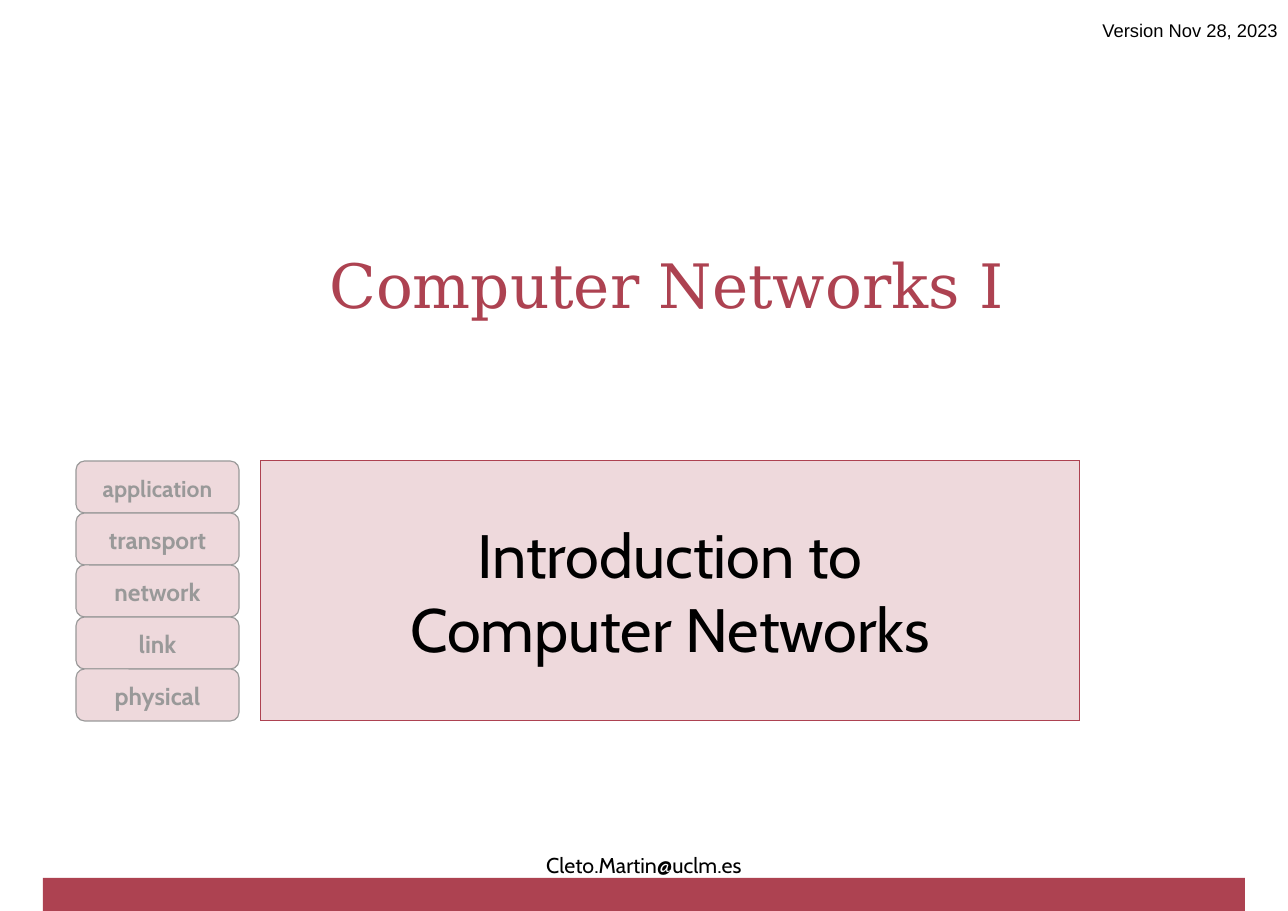
from pptx import Presentation
from pptx.dml.color import RGBColor
from pptx.enum.shapes import MSO_SHAPE
from pptx.enum.text import MSO_ANCHOR, MSO_AUTO_SIZE, PP_ALIGN
from pptx.util import Emu, Pt

PX = 8298
RED, PINK, GREY, BLACK = "AD4251", "EED9DC", "999999", "000000"
RECT, ROUNDED = MSO_SHAPE.RECTANGLE, MSO_SHAPE.ROUNDED_RECTANGLE
CENTER, RIGHT = PP_ALIGN.CENTER, PP_ALIGN.RIGHT
MIDDLE, TOP = MSO_ANCHOR.MIDDLE, MSO_ANCHOR.TOP
NO_FIT = MSO_AUTO_SIZE.NONE
LAYERS = ["application", "transport", "network", "link", "physical"]


def px(n):
    """Turn pixels into EMU."""
    return Emu(n * PX)


def rgb(color):
    """Turn a hex string into a colour."""
    return RGBColor.from_string(color)


def paint(sp, fill, line=None):
    """Fill a shape and give it a hairline outline or none."""
    sp.fill.solid()
    sp.fill.fore_color.rgb = rgb(fill)
    if line:
        sp.line.color.rgb = rgb(line)
        sp.line.width = Pt(0)
    else:
        sp.line.fill.background()


def write(sp, lines, size, font, color, bold=False, align=CENTER, anchor=TOP, spacing=1.0):
    """Write lines into one paragraph of a shape."""
    tf = sp.text_frame
    tf.auto_size = NO_FIT
    tf.word_wrap = True
    tf.vertical_anchor = anchor
    tf.margin_left = tf.margin_right = tf.margin_top = tf.margin_bottom = 0
    p = tf.paragraphs[0]
    p.alignment = align
    p.line_spacing = spacing
    for i, line in enumerate(lines):
        if i:
            p.add_line_break()
        r = p.add_run()
        r.text = line
        r.font.size = Pt(size)
        r.font.name = font
        r.font.bold = bold
        r.font.color.rgb = rgb(color)


def add_label(slide, box, text, size, font, color, **style):
    """Add a plain line of text."""
    sp = slide.shapes.add_textbox(*map(px, box))
    write(sp, [text], size, font, color, **style)


def add_block(slide, shape, box, fill, line=None):
    """Add a filled preset shape."""
    sp = slide.shapes.add_shape(shape, *map(px, box))
    sp.shadow.inherit = False
    paint(sp, fill, line)
    return sp


def add_title(slide, box, lines):
    """Place and format the title placeholder."""
    sp = slide.shapes.title
    sp.left, sp.top, sp.width, sp.height = map(px, box)
    paint(sp, PINK, RED)
    write(sp, lines, 40, "Cabin", BLACK, anchor=MIDDLE)


def add_layers(slide, left, top, width, height):
    """Stack the protocol layers from top to bottom."""
    for i, name in enumerate(LAYERS):
        sp = add_block(slide, ROUNDED, (left, top + i * height, width, height), PINK, GREY)
        size = 15 if name == "application" else 16
        write(sp, [name], size, "Cabin", GREY, bold=True, anchor=MIDDLE, spacing=1.08)


def main():
    """Build the cover slide."""
    prs = Presentation()
    prs.slide_width, prs.slide_height = px(1288), px(911)
    slide = prs.slides.add_slide(prs.slide_layouts[5])
    add_label(slide, (1058, 17, 220, 25), "Version Nov 28, 2023", 12, "Arial", BLACK,
              align=RIGHT, spacing=1.08)
    add_label(slide, (120, 247, 1093, 84), "Computer Networks I", 40, "DejaVu Serif", RED)
    add_block(slide, RECT, (43, 878, 1202, 33), RED)
    add_title(slide, (260, 461, 820, 260), ["Introduction to", "Computer Networks"])
    add_layers(slide, 76, 461, 163, 52)
    add_label(slide, (487, 850, 314, 24), "Cleto.Martin@uclm.es", 14, "Cabin", BLACK, spacing=1.08)
    prs.save("out.pptx")


if __name__ == "__main__":
    main()
